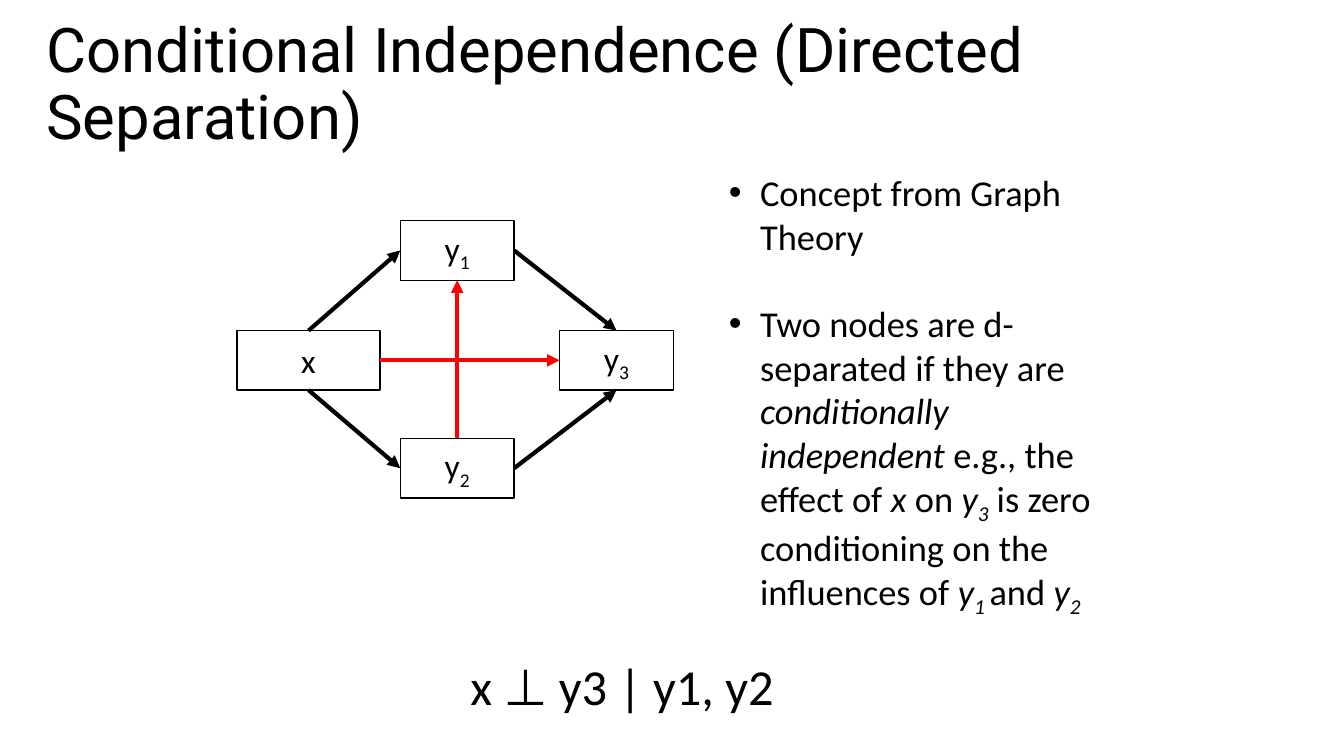
"""Build the slide on conditional independence and directed separation."""
import pptx
import pptx.util
import pptx.dml.color
import pptx.enum.shapes
import pptx.enum.text
import pptx.oxml.ns
import lxml.etree

Inches, Pt = pptx.util.Inches, pptx.util.Pt
ALIGN = pptx.enum.text.PP_ALIGN
ANCHOR = pptx.enum.text.MSO_ANCHOR
BLACK, WHITE, RED = "000000", "FFFFFF", "FF0000"
TOP, LEFT, BOTTOM, RIGHT = range(4)

TITLE = "Conditional Independence (Directed Separation)"
FORMULA = " x ⊥ y3 | y1, y2"
NODE_HEIGHT = 0.59
NODES = {
    "x": (2.35, 3.28, 1.42, [("x", "")]),
    "y1": (3.97, 2.19, 1.13, [("y", ""), ("1", "sub")]),
    "y2": (3.97, 4.35, 1.13, [("y", ""), ("2", "sub")]),
    "y3": (5.55, 3.28, 1.13, [("y", ""), ("3", "sub")]),
}
ARROWS = [
    ("x", BOTTOM, "y2", LEFT, BLACK),
    ("y2", RIGHT, "y3", BOTTOM, BLACK),
    ("x", TOP, "y1", LEFT, BLACK),
    ("y1", RIGHT, "y3", TOP, BLACK),
    ("y2", TOP, "y1", BOTTOM, RED),
    ("x", RIGHT, "y3", LEFT, RED),
]
BULLETS = [
    [("Concept from Graph Theory", "")],
    [
        ("Two nodes are d-separated if they are ", ""),
        ("conditionally independent", "italic"),
        (" e.g., the effect of ", ""),
        ("x", "italic"),
        (" on ", ""),
        ("y", "italic"),
        ("3", "italic sub"),
        (" is zero conditioning on the influences of ", ""),
        ("y", "italic"),
        ("1 ", "italic sub"),
        ("and ", ""),
        ("y", "italic"),
        ("2", "italic sub"),
    ],
]


def color(value):
    return pptx.dml.color.RGBColor.from_string(value)


def add_xml(parent, tag, **attributes):
    return lxml.etree.SubElement(parent, pptx.oxml.ns.qn(tag), attributes)


def format_paragraph(paragraph, size, align, font="Calibri"):
    paragraph.alignment = align
    paragraph.font.name = font
    paragraph.font.size = Pt(size)
    paragraph.font.color.rgb = color(BLACK)


def add_runs(paragraph, runs):
    for text, style in runs:
        run = paragraph.add_run()
        run.text = text
        if "italic" in style:
            run.font.italic = True
        if "sub" in style:
            run._r.get_or_add_rPr().set("baseline", "-25000")


def add_node(slide, left, top, width, runs):
    node = slide.shapes.add_shape(
        pptx.enum.shapes.MSO_SHAPE.RECTANGLE,
        Inches(left), Inches(top), Inches(width), Inches(NODE_HEIGHT))
    node.shadow.inherit = False
    node.fill.solid()
    node.fill.fore_color.rgb = color(WHITE)
    node.line.color.rgb = color(BLACK)
    node.line.width = Pt(1)
    node.text_frame.vertical_anchor = ANCHOR.MIDDLE
    paragraph = node.text_frame.paragraphs[0]
    format_paragraph(paragraph, 24, ALIGN.CENTER)
    add_runs(paragraph, runs)
    return node


def add_arrow(slide, start, start_side, end, end_side, line_color):
    arrow = slide.shapes.add_connector(
        pptx.enum.shapes.MSO_CONNECTOR.STRAIGHT, 0, 0, 0, 0)
    arrow.begin_connect(start, start_side)
    arrow.end_connect(end, end_side)
    arrow.line.color.rgb = color(line_color)
    arrow.line.width = Pt(3)
    add_xml(arrow.line._get_or_add_ln(), "a:tailEnd", type="triangle")
    add_xml(arrow._element.spPr, "a:effectLst")


def add_text_frame(slide, left, top, width, height):
    box = slide.shapes.add_textbox(
        Inches(left), Inches(top), Inches(width), Inches(height))
    box.text_frame.word_wrap = True
    return box.text_frame


def add_bullets(slide):
    frame = add_text_frame(slide, 7.13, 1.64, 4.25, 4.48)
    for index, runs in enumerate(BULLETS):
        paragraph = frame.add_paragraph() if index else frame.paragraphs[0]
        format_paragraph(paragraph, 26, ALIGN.LEFT)
        paragraph.space_before = Pt(31 if index else 0)
        properties = paragraph._p.get_or_add_pPr()
        properties.set("marL", str(Inches(0.31)))
        properties.set("indent", str(-Inches(0.31)))
        bullet_font = add_xml(properties, "a:buFont", typeface="Arial")
        bullet = add_xml(properties, "a:buChar", char="•")
        default_run = properties.find(pptx.oxml.ns.qn("a:defRPr"))
        default_run.addprevious(bullet_font)
        default_run.addprevious(bullet)
        add_runs(paragraph, runs)


def set_title(slide):
    title = slide.shapes.title
    title.left, title.top = Inches(0.36), Inches(0.13)
    title.width, title.height = Inches(11.5), Inches(1.45)
    title.text_frame.text = TITLE
    title.text_frame.vertical_anchor = ANCHOR.MIDDLE
    title.text_frame.auto_size = pptx.enum.text.MSO_AUTO_SIZE.NONE
    paragraph = title.text_frame.paragraphs[0]
    format_paragraph(paragraph, 44, ALIGN.LEFT, "Roboto")
    paragraph.line_spacing = 0.9


def main():
    presentation = pptx.Presentation()
    presentation.slide_width = Inches(13.33)
    presentation.slide_height = Inches(7.5)
    slide = presentation.slides.add_slide(presentation.slide_layouts[5])
    set_title(slide)
    nodes = {name: add_node(slide, *node) for name, node in NODES.items()}
    for start, start_side, end, end_side, line_color in ARROWS:
        add_arrow(slide, nodes[start], start_side, nodes[end], end_side, line_color)
    add_bullets(slide)
    formula = add_text_frame(slide, 2.78, 6.45, 6.67, 0.71).paragraphs[0]
    format_paragraph(formula, 36, ALIGN.CENTER)
    add_runs(formula, [(FORMULA, "")])
    presentation.save("out.pptx")


if __name__ == "__main__":
    main()
